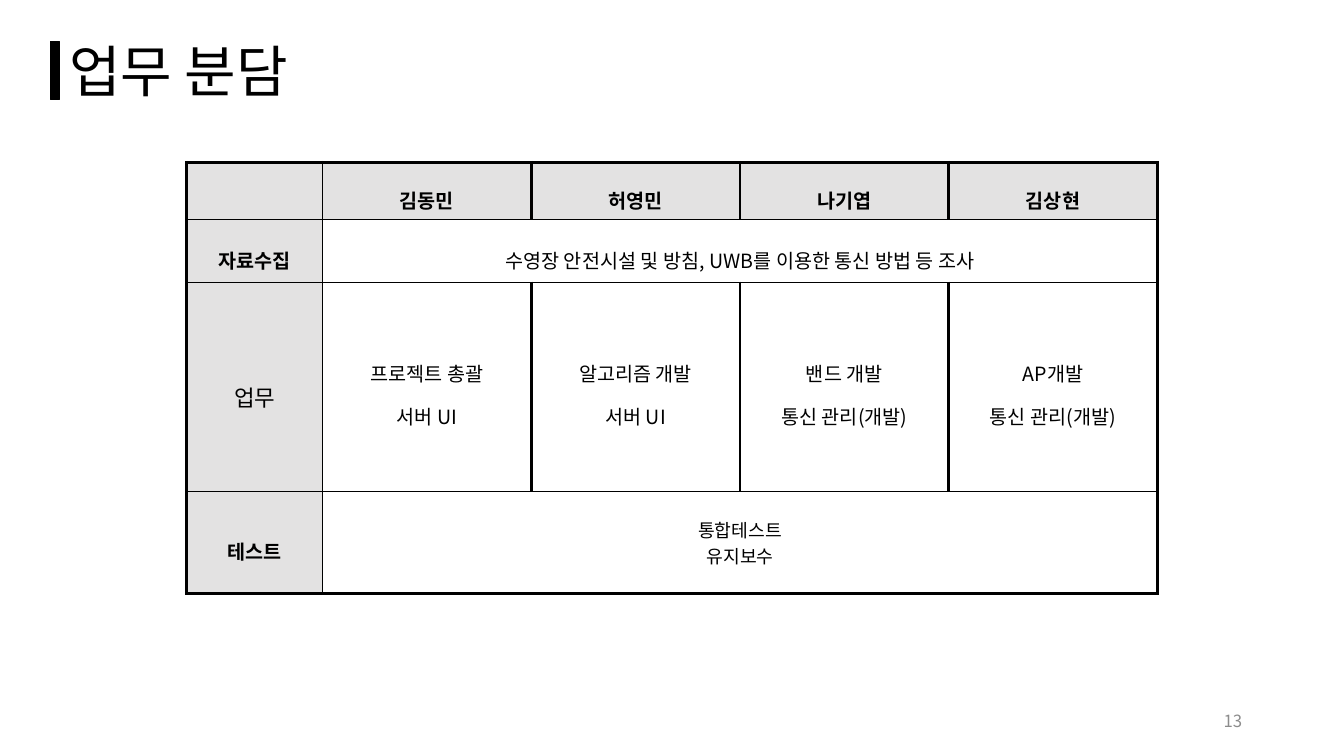
from pptx import Presentation, util as u
from pptx.dml.color import RGBColor
from pptx.enum import shapes, text
from pptx.oxml import ns, xmlchemy as xml

PX = 9144
FONT = "Noto Sans CJK KR"
BLACK = RGBColor(0x00, 0x00, 0x00)
GRAY = RGBColor(0x8C, 0x8C, 0x8C)
HEADER_GRAY = RGBColor(0xD0, 0xCE, 0xCE)
HEADER_ALPHA = 59000
THICK, THIN = 2.25, 1

COLUMN_WIDTHS = [135, 207, 207, 207, 207]
ROW_HEIGHTS = [57, 62, 208, 101]
DUTIES = [
    ["", "김동민", "허영민", "나기엽", "김상현"],
    ["자료수집", "수영장 안전시설 및 방침, UWB를 이용한 통신 방법 등 조사"],
    ["업무", "프로젝트 총괄\n서버 UI", "알고리즘 개발\n서버 UI",
     "밴드 개발\n통신 관리(개발)", "AP개발\n통신 관리(개발)"],
    ["테스트", "통합테스트\n유지보수"],
]
HEADING = {"size": u.Pt(14), "bold": True}
BODY = {"size": u.Pt(14), "bold": False}
TASK_LABEL = {"size": u.Pt(16), "bold": False}
TEST_BODY = {"size": u.Pt(13), "bold": False}


def emu(*lengths):
    return [u.Emu(length * PX) for length in lengths]


def assign(target, values):
    for name, value in values.items():
        setattr(target, name, value)


def write(frame, content, font, color=BLACK, **layout):
    for index, line in enumerate(content.split("\n")):
        paragraph = frame.paragraphs[0] if index == 0 else frame.add_paragraph()
        assign(paragraph, layout)
        if not line:
            assign(paragraph.font, font)
            continue
        run = paragraph.add_run()
        run.text = line
        assign(run.font, {"name": FONT, **font})
        run.font.color.rgb = color
        east_asian = xml.OxmlElement("a:ea")
        east_asian.set("typeface", FONT)
        run.font._element.find(ns.qn("a:latin")).addnext(east_asian)


def add_title(slide, left, top, width, height):
    title = slide.shapes.add_textbox(*emu(left + 9, top, width - 9, height)).text_frame
    assign(title, {"word_wrap": True, "auto_size": text.MSO_AUTO_SIZE.SHAPE_TO_FIT_TEXT})
    write(title, "업무 분담", {"size": u.Pt(40)})
    marker = slide.shapes.add_shape(
        shapes.MSO_SHAPE.RECTANGLE, *emu(left, top + 10, 9, 58))
    marker.shadow.inherit = False
    marker.fill.solid()
    marker.fill.fore_color.rgb = BLACK
    marker.line.color.rgb = BLACK
    marker.line.width = u.Pt(1)


def set_borders(cell, widths):
    properties = cell._tc.get_or_add_tcPr()
    for side, width in widths.items():
        border = xml.OxmlElement(f"a:ln{side}")
        border.set("w", str(u.Pt(width)))
        solid = xml.OxmlElement("a:solidFill")
        color = xml.OxmlElement("a:srgbClr")
        color.set("val", str(BLACK))
        solid.append(color)
        border.append(solid)
        properties.append(border)


def fill_cell(cell, is_header):
    if not is_header:
        cell.fill.background()
        return
    cell.fill.solid()
    cell.fill.fore_color.rgb = HEADER_GRAY
    alpha = xml.OxmlElement("a:alpha")
    alpha.set("val", str(HEADER_ALPHA))
    cell._tc.tcPr.find(ns.qn("a:solidFill"))[0].append(alpha)


def duty_style(row, column):
    if (row, column) == (2, 0):
        return TASK_LABEL, 1.6
    if row == 0 or column == 0:
        return HEADING, 1.6
    return {1: (BODY, 1.6), 2: (BODY, 1.5), 3: (TEST_BODY, 1.0)}[row]


def add_duties(slide, left, top):
    row_count, column_count = len(ROW_HEIGHTS), len(COLUMN_WIDTHS)
    duties = slide.shapes.add_table(
        row_count, column_count,
        *emu(left, top, sum(COLUMN_WIDTHS), sum(ROW_HEIGHTS))).table
    assign(duties, {"first_row": False, "horz_banding": False})
    for column, width in zip(duties.columns, emu(*COLUMN_WIDTHS)):
        column.width = width
    for row, height in zip(duties.rows, emu(*ROW_HEIGHTS)):
        row.height = height
    for r in range(row_count):
        for c in range(column_count):
            cell = duties.cell(r, c)
            set_borders(cell, {
                "L": THIN if c == 1 else THICK,
                "R": THIN if c == 0 else THICK,
                "T": THICK if r == 0 else THIN,
                "B": THICK if r == row_count - 1 else THIN,
            })
            fill_cell(cell, r == 0 or c == 0)
            cell.vertical_anchor = text.MSO_ANCHOR.MIDDLE
    for r, entries in enumerate(DUTIES):
        if len(entries) < column_count:
            duties.cell(r, 1).merge(duties.cell(r, column_count - 1))
        for c, entry in enumerate(entries):
            font, spacing = duty_style(r, c)
            write(duties.cell(r, c).text_frame, entry, font,
                  alignment=text.PP_ALIGN.CENTER, line_spacing=spacing)


def add_page_number(slide, left, top, width, height):
    page = slide.shapes.add_textbox(*emu(left, top, width, height)).text_frame
    assign(page, {"word_wrap": True, "vertical_anchor": text.MSO_ANCHOR.MIDDLE})
    write(page, "13", {"size": u.Pt(12)}, GRAY, alignment=text.PP_ALIGN.RIGHT)


def main():
    deck = Presentation()
    deck.slide_width, deck.slide_height = emu(1333, 750)
    slide = deck.slides.add_slide(deck.slide_layouts[6])
    add_title(slide, 50, 31, 465, 77)
    add_duties(slide, 185, 161)
    add_page_number(slide, 942, 695, 300, 40)
    deck.save("out.pptx")


if __name__ == "__main__":
    main()
